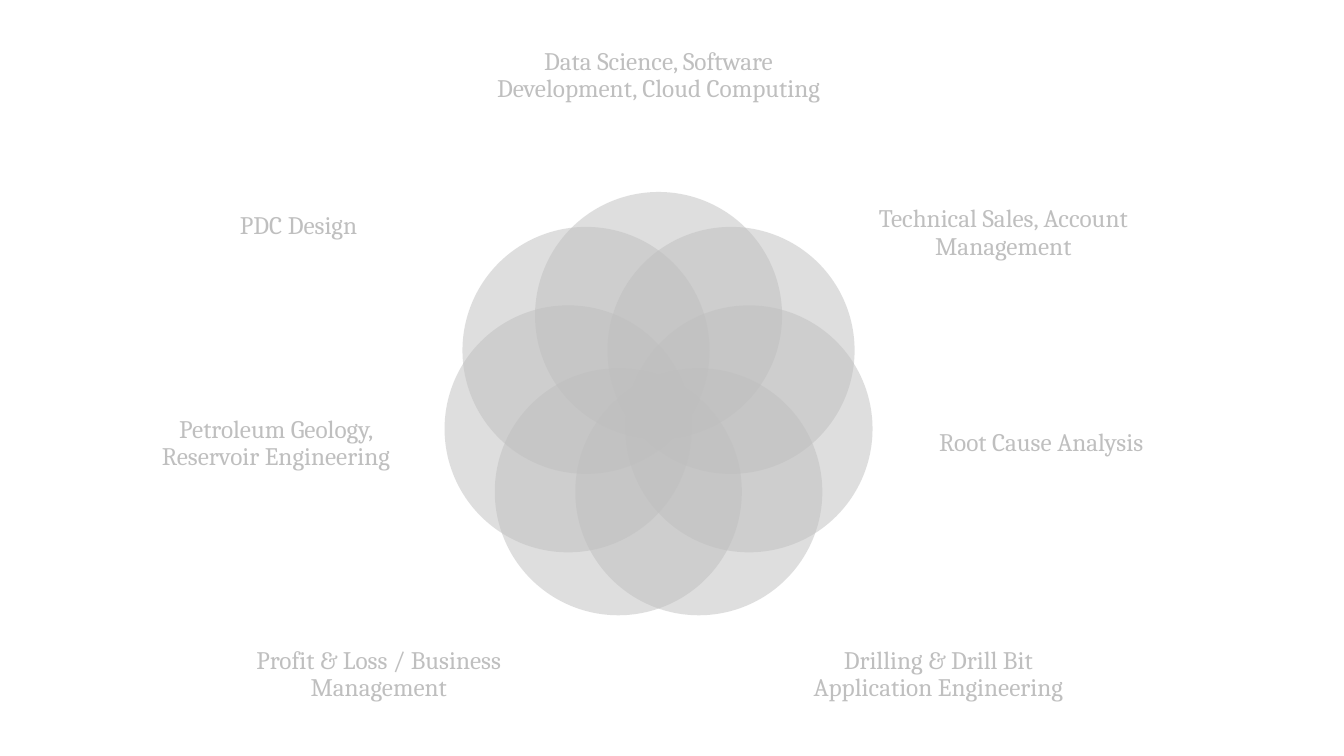
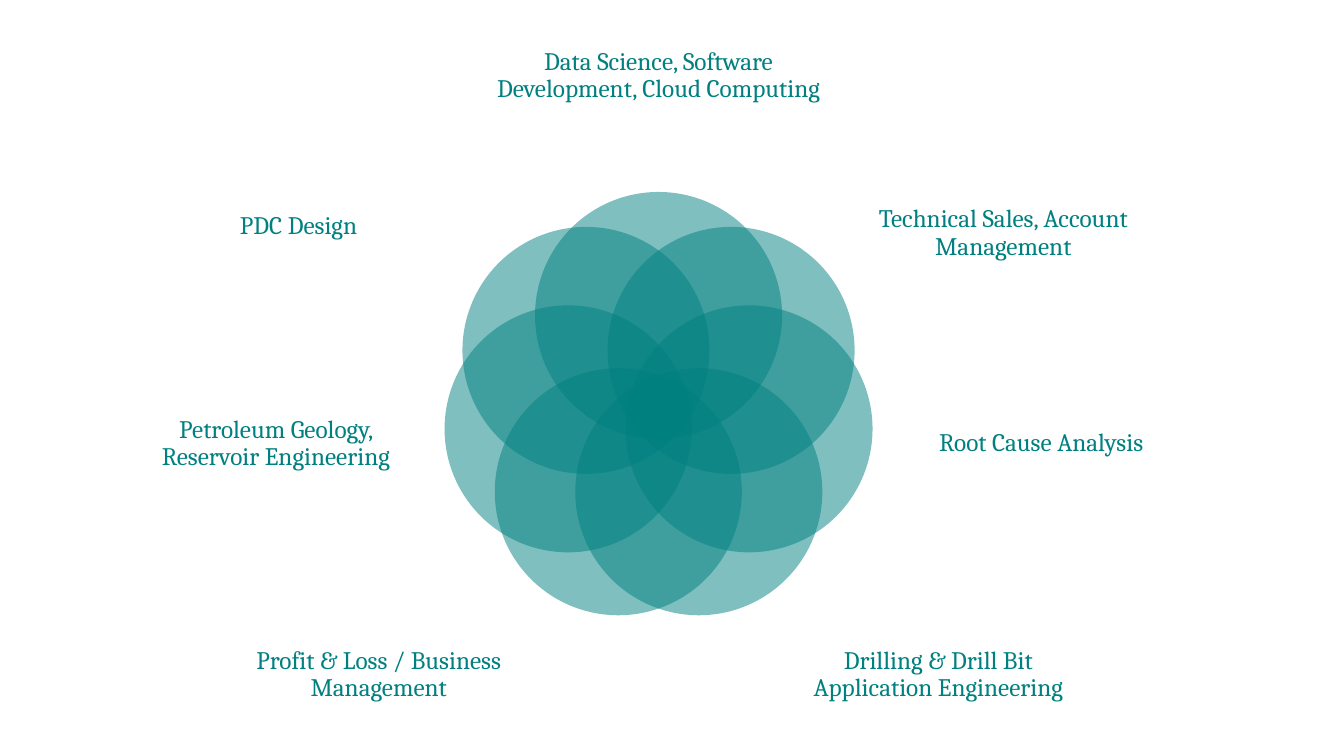
from collections import namedtuple
from math import cos, pi, sin

from lxml import etree
from pptx import Presentation
from pptx.dml.color import RGBColor
from pptx.enum.shapes import MSO_SHAPE
from pptx.enum.text import MSO_ANCHOR, PP_ALIGN
from pptx.oxml.ns import qn
from pptx.util import Inches, Pt

OVAL = MSO_SHAPE.OVAL
MIDDLE = MSO_ANCHOR.MIDDLE
CENTER = PP_ALIGN.CENTER

# Shared style
FONT = "Cambria"
TEXT_SIZE = 18
OPACITY = 50
SLIDE_COLORS = ("BFBFBF", "008080")

# Lengths are in rows: the diagram box is 100 rows high
ROWS = 100
CIRCLE_SIZE = 32.67
RING_RADIUS = 12.27
RING_CENTER_ROW = 54

Box = namedtuple("Box", "left top width height")
Skill = namedtuple("Skill", "text offset row width height")

# Clockwise from the top: label centre (offset from the axis, row) and label size
SKILLS = (
    Skill("Data Science, Software Development, Cloud Computing", 0, 10, 48.53, 20),
    Skill("Technical Sales, Account Management", 45.6, 30.87, 35.33, 22),
    Skill("Root Cause Analysis", 50.6, 58.67, 34.67, 23.47),
    Skill("Drilling & Drill Bit Application Engineering", 37, 89.27, 37.33, 21.47),
    Skill("Profit & Loss / Business Management", -37, 89.27, 37.33, 21.47),
    Skill("Petroleum Geology, Reservoir Engineering", -50.6, 58.67, 34.67, 23.47),
    Skill("PDC Design", -47.6, 29.93, 35.33, 22),
)


def rgb(color):
    return RGBColor.from_string(color)


def place(box, offset, row, width, height):
    """Turn a centre and size in rows into left, top, width, height in the box."""
    unit = box.height / ROWS
    left = box.left + box.width / 2 + (offset - width / 2) * unit
    top = box.top + (row - height / 2) * unit
    return [round(length) for length in (left, top, width * unit, height * unit)]


def add_circle(group, area, color):
    circle = group.shapes.add_shape(OVAL, *area)
    circle.shadow.inherit = False
    circle.line.fill.background()
    circle.fill.solid()
    circle.fill.fore_color.rgb = rgb(color)
    # Transparency
    tone = circle.fill._xPr.find(qn("a:solidFill"))[0]
    etree.SubElement(tone, qn("a:alpha"), val=str(OPACITY * 1000))


def add_label(group, area, text, color):
    frame = group.shapes.add_textbox(*area).text_frame
    frame.word_wrap = True
    frame.vertical_anchor = MIDDLE
    frame.margin_left = frame.margin_right = 0
    frame.margin_top = frame.margin_bottom = 0
    para = frame.paragraphs[0]
    para.alignment = CENTER
    para.line_spacing = 0.9
    span = para.add_run()
    span.text = text
    span.font.name = FONT
    span.font.size = Pt(TEXT_SIZE)
    span.font.color.rgb = rgb(color)


def add_skill_ring(page, box, color):
    """Overlapping circles, evenly spaced on a ring, each with its label."""
    group = page.shapes.add_group_shape()
    for index, skill in enumerate(SKILLS):
        angle = 2 * pi * index / len(SKILLS)
        offset = RING_RADIUS * sin(angle)
        row = RING_CENTER_ROW - RING_RADIUS * cos(angle)
        add_circle(group, place(box, offset, row, CIRCLE_SIZE, CIRCLE_SIZE), color)
        label_area = place(box, skill.offset, skill.row, skill.width, skill.height)
        add_label(group, label_area, skill.text, color)


def main():
    deck = Presentation()
    deck.slide_width = Inches(13.33)
    deck.slide_height = Inches(7.5)
    blank_layout = deck.slide_layouts[6]
    # The diagram spans the full height, just left of the slide's middle
    box = Box(0, 0, round(deck.slide_width * 0.98), deck.slide_height)
    for color in SLIDE_COLORS:
        add_skill_ring(deck.slides.add_slide(blank_layout), box, color)
    deck.save("out.pptx")


if __name__ == "__main__":
    main()
